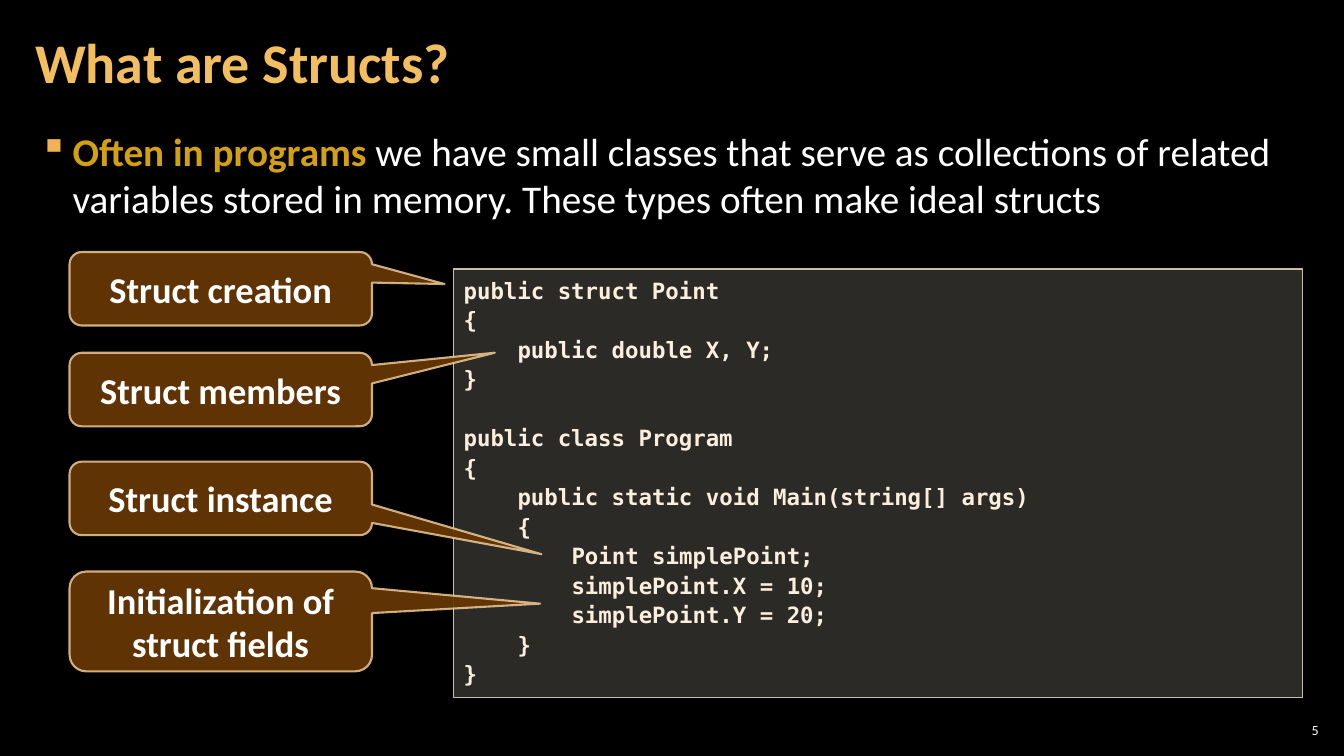
from lxml import etree
from pptx import Presentation
from pptx.dml.color import RGBColor
from pptx.enum import shapes, text
from pptx.oxml import ns
from pptx.util import Inches, Pt

BLACK = RGBColor(0x00, 0x00, 0x00)
WHITE = RGBColor(0xFF, 0xFF, 0xFF)
GOLD = RGBColor(0xF3, 0xBE, 0x60)
AMBER = RGBColor(0xD2, 0xA0, 0x10)
BULLET = RGBColor(0xF2, 0xB2, 0x54)
BROWN = RGBColor(0x66, 0x36, 0x06)
TAN = RGBColor(0xF8, 0xD4, 0x9E)
STONE = RGBColor(0xD9, 0xD5, 0xC7)
EDGE = RGBColor(0xC7, 0xBF, 0xAC)
CREAM = RGBColor(0xFB, 0xEE, 0xDC)

BODY, MONO = "Calibri", "DejaVu Sans Mono"
TAB = 0.535
CODE = [
    (0, "public struct Point"),
    (0, "{"),
    (1, "public double X, Y;"),
    (0, "}"),
    (0, "public class Program"),
    (0, "{"),
    (1, "public static void Main(string[] args)"),
    (1, "{"),
    (2, "Point simplePoint;"),
    (2, "simplePoint.X = 10;"),
    (2, "simplePoint.Y = 20;"),
    (1, "}"),
    (0, "}"),
]
NOTES = [
    ("Struct creation", 2.5, 0.73, 0.74, -0.064),
    ("Struct members", 3.5, 0.73, 0.906, -0.501),
    ("Struct instance", 4.58, 0.73, 1.06, 0.758),
    ("Initialization of struct fields", 5.67, 0.99, 1.056, -0.178),
]


def style(font, size, color, bold=False, name=BODY):
    """Set the look of a font."""
    font.name, font.size, font.bold = name, Pt(size), bold
    font.color.rgb = color


def fade(fill, pct):
    """Make a solid fill or line fill partly transparent."""
    color = fill.find(ns.qn("a:solidFill"))[0]
    etree.SubElement(color, ns.qn("a:alpha")).set("val", str(pct * 1000))


def panel(slide, kind, box, fill, alpha, edge, width):
    """Add a filled, outlined shape that wraps its text."""
    shape = slide.shapes.add_shape(kind, *map(Inches, box))
    shape.shadow.inherit = False
    shape.fill.solid()
    shape.fill.fore_color.rgb = fill
    fade(shape._element.spPr, alpha)
    shape.line.color.rgb = edge
    shape.line.width = Pt(width)
    shape.text_frame.word_wrap = True
    return shape


def label(slide, box, side, anchor):
    """Add an empty wrapping text box and return its first paragraph."""
    frame = slide.shapes.add_textbox(*map(Inches, box)).text_frame
    frame.word_wrap = True
    frame.vertical_anchor = anchor
    frame.margin_left = frame.margin_right = Inches(side)
    frame.margin_top = frame.margin_bottom = Inches(0.04)
    return frame.paragraphs[0]


def title(slide, box):
    """Add the slide title."""
    para = label(slide, box, 0.12, text.MSO_ANCHOR.MIDDLE)
    para.text = "What are Structs?"
    para.line_spacing = 0.9
    style(para.font, 40, GOLD, True)


def intro(slide, box):
    """Add the bulleted opening statement."""
    para = label(slide, box, 0.12, text.MSO_ANCHOR.TOP)
    para.space_before = para.space_after = Pt(6)
    props = para._p.get_or_add_pPr()
    props.set("marL", str(Inches(0.33)))
    props.set("indent", str(-Inches(0.33)))
    tint = etree.SubElement(props, ns.qn("a:buClr"))
    etree.SubElement(tint, ns.qn("a:srgbClr")).set("val", str(BULLET))
    etree.SubElement(props, ns.qn("a:buChar")).set("char", "▪")
    lead, rest = para.add_run(), para.add_run()
    lead.text = "Often in programs"
    style(lead.font, 28, AMBER, True)
    rest.text = (" we have small classes that serve as collections of related "
                 "variables stored in memory. These types often make ideal structs")
    style(rest.font, 28, WHITE)


def code(slide, box):
    """Add the code panel, indenting each line by its depth."""
    shape = panel(slide, shapes.MSO_SHAPE.RECTANGLE, box, STONE, 20, EDGE, 1)
    frame = shape.text_frame
    frame.vertical_anchor = text.MSO_ANCHOR.TOP
    for row, (depth, line) in enumerate(CODE):
        para = frame.add_paragraph() if row else frame.paragraphs[0]
        para.text = line
        para.alignment = text.PP_ALIGN.LEFT
        para.line_spacing = 1.1
        if "class" in line:
            para.space_before = Pt(21)
        para._p.get_or_add_pPr().set("marL", str(Inches(TAB * depth)))
        style(para.font, 16, CREAM, True, MONO)


def callout(slide, box, words, tip):
    """Add a callout whose tip is given relative to its box."""
    kind = shapes.MSO_SHAPE.ROUNDED_RECTANGULAR_CALLOUT
    shape = panel(slide, kind, box, BROWN, 95, TAN, 1.5)
    fade(shape.line._ln, 80)
    for i, value in enumerate(tip):
        shape.adjustments[i] = value
    shape.text_frame.vertical_anchor = text.MSO_ANCHOR.MIDDLE
    para = shape.text_frame.paragraphs[0]
    para.text = words
    para.alignment = text.PP_ALIGN.CENTER
    style(para.font, 26, WHITE, True)


def number(slide, box):
    """Add the slide number."""
    para = label(slide, box, 0.04, text.MSO_ANCHOR.MIDDLE)
    para.text = "5"
    para.alignment = text.PP_ALIGN.RIGHT
    style(para.font, 10, WHITE)


def main():
    """Build and save the slide."""
    deck = Presentation()
    deck.slide_width, deck.slide_height = Inches(13.33), Inches(7.5)
    slide = deck.slides.add_slide(deck.slide_layouts[6])
    slide.background.fill.solid()
    slide.background.fill.fore_color.rgb = BLACK
    number(slide, (12.65, 7.14, 0.47, 0.21))
    title(slide, (0.23, 0.04, 10.47, 1.21))
    code(slide, (4.5, 2.67, 8.42, 4.25))
    intro(slide, (0.27, 1.22, 12.79, 1.12))
    for words, top, height, *tip in NOTES:
        callout(slide, (0.69, top, 3, height), words, tip)
    deck.save("out.pptx")


if __name__ == "__main__":
    main()
